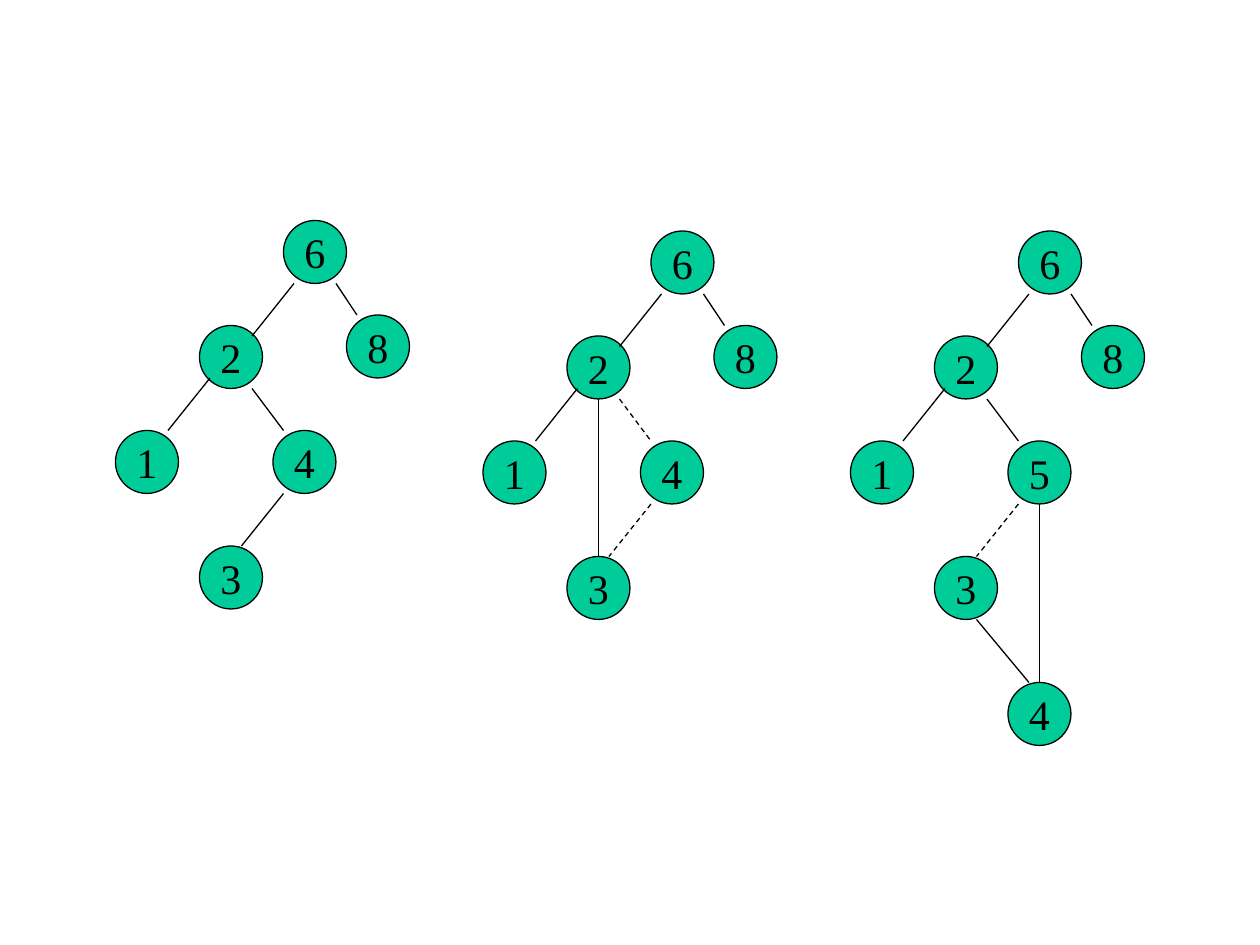
from lxml import etree
from pptx import Presentation
from pptx import util as u
from pptx.dml.color import RGBColor
from pptx.enum import dml, shapes, text
from pptx.oxml.ns import qn

PX = u.Inches(1) // 96
COLORS = {"node": "00CC99", "ink": "000000"}
FONT = "Times New Roman"
NODE_SIZE = 48
TREE_PITCH = 280

NODE_PLACES = {
    "root": (128, 0),
    "left": (64, 80),
    "right": (176, 72),
    "outer": (0, 160),
    "inner": (120, 160),
    "child": (64, 248),
    "added": (120, 344),
}
EDGE_ENDS = {
    "root-left": (136, 48, 104, 88),
    "root-right": (168, 48, 184, 72),
    "left-outer": (72, 120, 40, 160),
    "left-inner": (104, 128, 128, 160),
    "inner-child": (128, 208, 96, 248),
    "left-child": (88, 128, 88, 248),
    "child-added": (96, 296, 136, 344),
    "inner-added": (144, 208, 144, 344),
}
BASE_LABELS = {"root": "6", "left": "2", "right": "8", "outer": "1", "inner": "4", "child": "3"}
BASE_EDGES = ["root-left", "root-right", "left-outer", "left-inner", "inner-child"]


def set_line(line):
    """Give a line the ink colour and the common width."""
    line.color.rgb = RGBColor.from_string(COLORS["ink"])
    line.width = u.Pt(0.75)


def add_node(group, left, top, label):
    """Draw one labelled circle."""
    shape = group.shapes.add_shape(
        shapes.MSO_SHAPE.OVAL, left * PX, top * PX, NODE_SIZE * PX, NODE_SIZE * PX
    )
    shape.shadow.inherit = False
    shape.fill.solid()
    shape.fill.fore_color.rgb = RGBColor.from_string(COLORS["node"])
    set_line(shape.line)
    text_frame = shape.text_frame
    text_frame.text = label
    text_frame.word_wrap = False
    text_frame.vertical_anchor = text.MSO_ANCHOR.MIDDLE
    paragraph = text_frame.paragraphs[0]
    paragraph.alignment = text.PP_ALIGN.CENTER
    font = paragraph.runs[0].font
    font.name = FONT
    font.size = u.Pt(24)
    font.color.rgb = RGBColor.from_string(COLORS["ink"])


def add_edge(group, x1, y1, x2, y2, dashed):
    """Draw one straight edge, dashed if it is to be removed."""
    connector = group.shapes.add_connector(
        shapes.MSO_CONNECTOR.STRAIGHT, x1 * PX, y1 * PX, x2 * PX, y2 * PX
    )
    set_line(connector.line)
    if dashed:
        connector.line.dash_style = dml.MSO_LINE.DASH
    etree.SubElement(connector._element.spPr, qn("a:effectLst"))


def add_tree(slide, left, top, labels, edges, dashed=()):
    """Draw a binary search tree with its top left corner at the given point."""
    group = slide.shapes.add_group_shape()
    for place, label in labels.items():
        x, y = NODE_PLACES[place]
        add_node(group, left + x, top + y, label)
    for edge in edges:
        x1, y1, x2, y2 = EDGE_ENDS[edge]
        add_edge(group, left + x1, top + y1, left + x2, top + y2, edge in dashed)


def main():
    """Build the slide with the three trees."""
    presentation = Presentation()
    presentation.slide_width = 960 * PX
    presentation.slide_height = 720 * PX
    slide = presentation.slides.add_slide(presentation.slide_layouts[6])

    first_left = 88
    add_tree(slide, first_left, 168, BASE_LABELS, BASE_EDGES)
    add_tree(
        slide, first_left + TREE_PITCH, 176, BASE_LABELS,
        BASE_EDGES + ["left-child"], dashed=("left-inner", "inner-child"),
    )
    add_tree(
        slide, first_left + 2 * TREE_PITCH, 176,
        {**BASE_LABELS, "inner": "5", "added": "4"},
        BASE_EDGES + ["child-added", "inner-added"], dashed=("inner-child",),
    )
    presentation.save("out.pptx")


if __name__ == "__main__":
    main()
